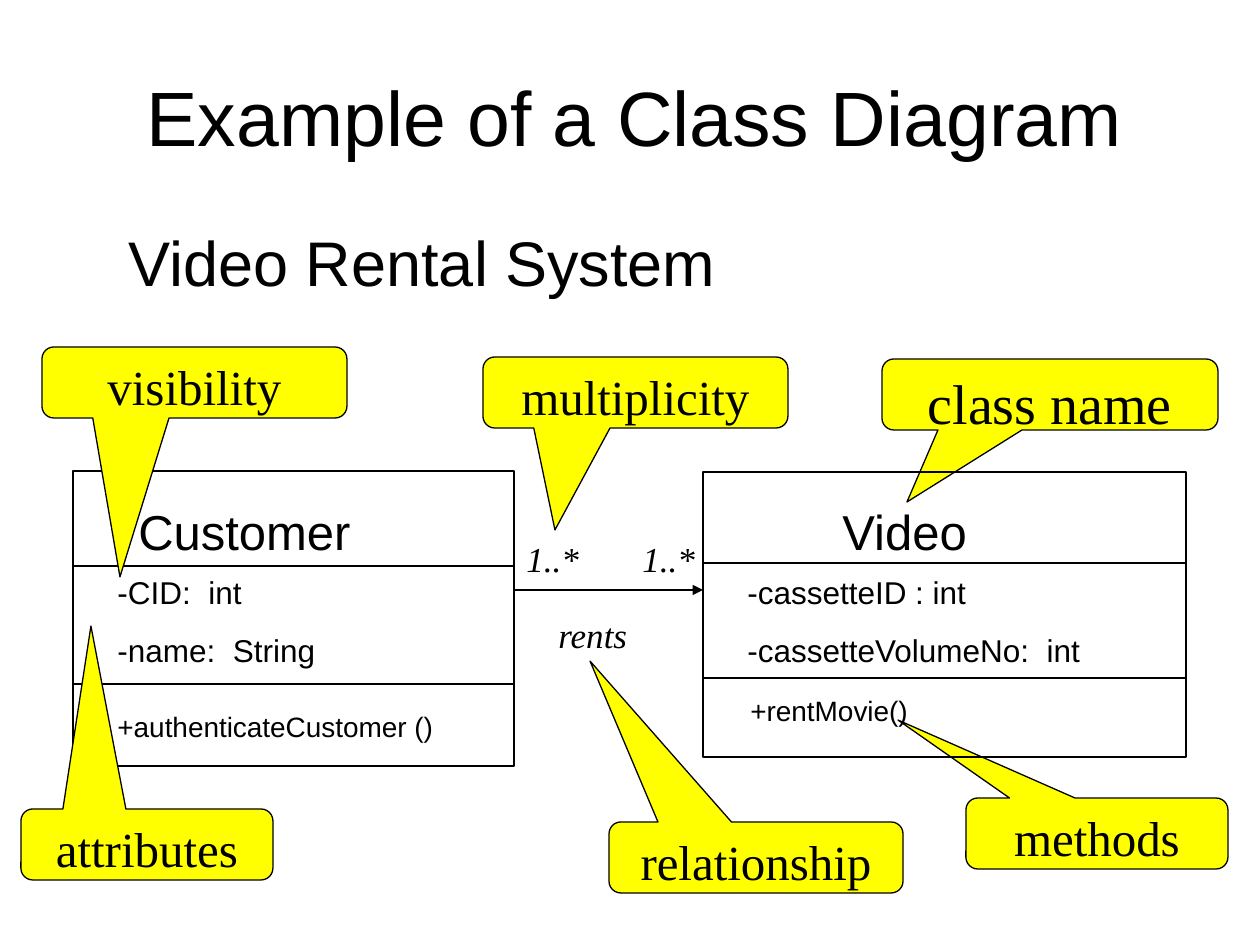
from pptx import Presentation
from pptx.dml.color import RGBColor
from pptx.enum.shapes import MSO_CONNECTOR, MSO_SHAPE
from pptx.enum.text import MSO_ANCHOR, MSO_AUTO_SIZE, PP_ALIGN
from pptx.oxml.ns import qn
from pptx.util import Emu, Pt
from lxml.etree import SubElement

BLACK = RGBColor(0x00, 0x00, 0x00)
YELLOW = RGBColor(0xFF, 0xFF, 0x00)
SANS = "Arial"
SERIF = "Times New Roman"
PX_PER_INCH = 126
CALLOUT_HEIGHT = 71
LINE_WIDTH = Pt(0.75)


def px(length):
    return Emu(round(length * 914400 / PX_PER_INCH))


def write(shape, lines, size, font, align=PP_ALIGN.LEFT, italic=False, spacing=0):
    frame = shape.text_frame
    frame.word_wrap = True
    frame.auto_size = MSO_AUTO_SIZE.NONE
    frame.vertical_anchor = MSO_ANCHOR.TOP
    frame.text = "\n".join(lines)
    for paragraph in frame.paragraphs:
        paragraph.alignment = align
        paragraph.space_before = Pt(spacing * size)
        paragraph.font.name = font
        paragraph.font.size = Pt(size)
        paragraph.font.italic = italic
        paragraph.font.color.rgb = BLACK


def fill_placeholder(shape, box, text, size, align):
    shape.left, shape.top, shape.width, shape.height = map(px, box)
    write(shape, [text], size, SANS, align)
    for paragraph in shape.text_frame.paragraphs:
        properties = paragraph._p.get_or_add_pPr()
        properties.set("marL", "0")
        properties.set("indent", "0")
        SubElement(properties, qn("a:buNone"))


def add_text(slide, box, lines, size, font=SANS, italic=False):
    shape = slide.shapes.add_textbox(*map(px, box))
    write(shape, lines, size, font, italic=italic, spacing=0.625)


def add_line(slide, start, end, arrow=False):
    line = slide.shapes.add_connector(MSO_CONNECTOR.STRAIGHT, *map(px, start + end))
    line.line.color.rgb = BLACK
    line.line.width = LINE_WIDTH
    if arrow:
        SubElement(line.line._get_or_add_ln(), qn("a:tailEnd"), type="triangle")
    SubElement(line._element.spPr, qn("a:effectLst"))


def add_outlined(slide, kind, box):
    shape = slide.shapes.add_shape(kind, *map(px, box))
    shape.shadow.inherit = False
    shape.line.color.rgb = BLACK
    shape.line.width = LINE_WIDTH
    return shape


def add_callout(slide, text, left, top, width, tip, size=28):
    box = (left, top, width, CALLOUT_HEIGHT)
    shape = add_outlined(slide, MSO_SHAPE.ROUNDED_RECTANGULAR_CALLOUT, box)
    shape.fill.solid()
    shape.fill.fore_color.rgb = YELLOW
    shape.adjustments[0] = (tip[0] - left) / width - 0.5
    shape.adjustments[1] = (tip[1] - top) / CALLOUT_HEIGHT - 0.5
    write(shape, [text], size, SERIF, PP_ALIGN.CENTER)


def add_class(slide, box, dividers, name, attributes, method):
    left, top, width, height = box
    add_outlined(slide, MSO_SHAPE.RECTANGLE, box).fill.background()
    for y in dividers:
        add_line(slide, (left, y), (left + width, y))
    for (text_box, lines), size in zip((name, attributes, method), (28, 18, 16)):
        add_text(slide, text_box, lines, size)


def main():
    presentation = Presentation()
    presentation.slide_width = px(10 * PX_PER_INCH)
    presentation.slide_height = px(7.5 * PX_PER_INCH)
    slide = presentation.slides.add_slide(presentation.slide_layouts[1])
    title, body = slide.placeholders
    fill_placeholder(title, (73, 63, 1124, 106), "Example of a Class Diagram", 44, PP_ALIGN.CENTER)
    fill_placeholder(body, (116, 217, 662, 88), "Video Rental System", 36, PP_ALIGN.LEFT)

    add_callout(slide, "methods", 966, 798, 262, (898, 720))
    add_callout(slide, "class name", 882, 359, 336, (907, 502), size=32)

    add_class(
        slide, (703, 472, 483, 285), (563, 678),
        ((830, 495, 218, 72), ["Video"]),
        ((735, 567, 431, 108), ["-cassetteID : int", "-cassetteVolumeNo:  int"]),
        ((738, 687, 229, 47), ["+rentMovie()"]),
    )
    add_class(
        slide, (73, 471, 441, 295), (566, 684),
        ((126, 495, 325, 72), ["Customer"]),
        ((105, 567, 399, 166), ["-CID:  int", "-name:  String"]),
        ((105, 703, 357, 47), ["+authenticateCustomer ()"]),
    )

    add_line(slide, (514, 590), (703, 590), arrow=True)
    for text, left, top, width in (
        ("rents", 546, 607, 126),
        ("1..*", 630, 531, 84),
        ("1..*", 514, 531, 84),
    ):
        add_text(slide, (left, top, width, 55), [text], 20, SERIF, italic=True)

    add_callout(slide, "relationship", 609, 822, 294, (590, 661))
    add_callout(slide, "multiplicity", 483, 357, 305, (555, 530))
    add_callout(slide, "visibility", 42, 347, 305, (120, 577))
    add_callout(slide, "attributes", 21, 809, 252, (91, 626))
    presentation.save("out.pptx")


if __name__ == "__main__":
    main()
